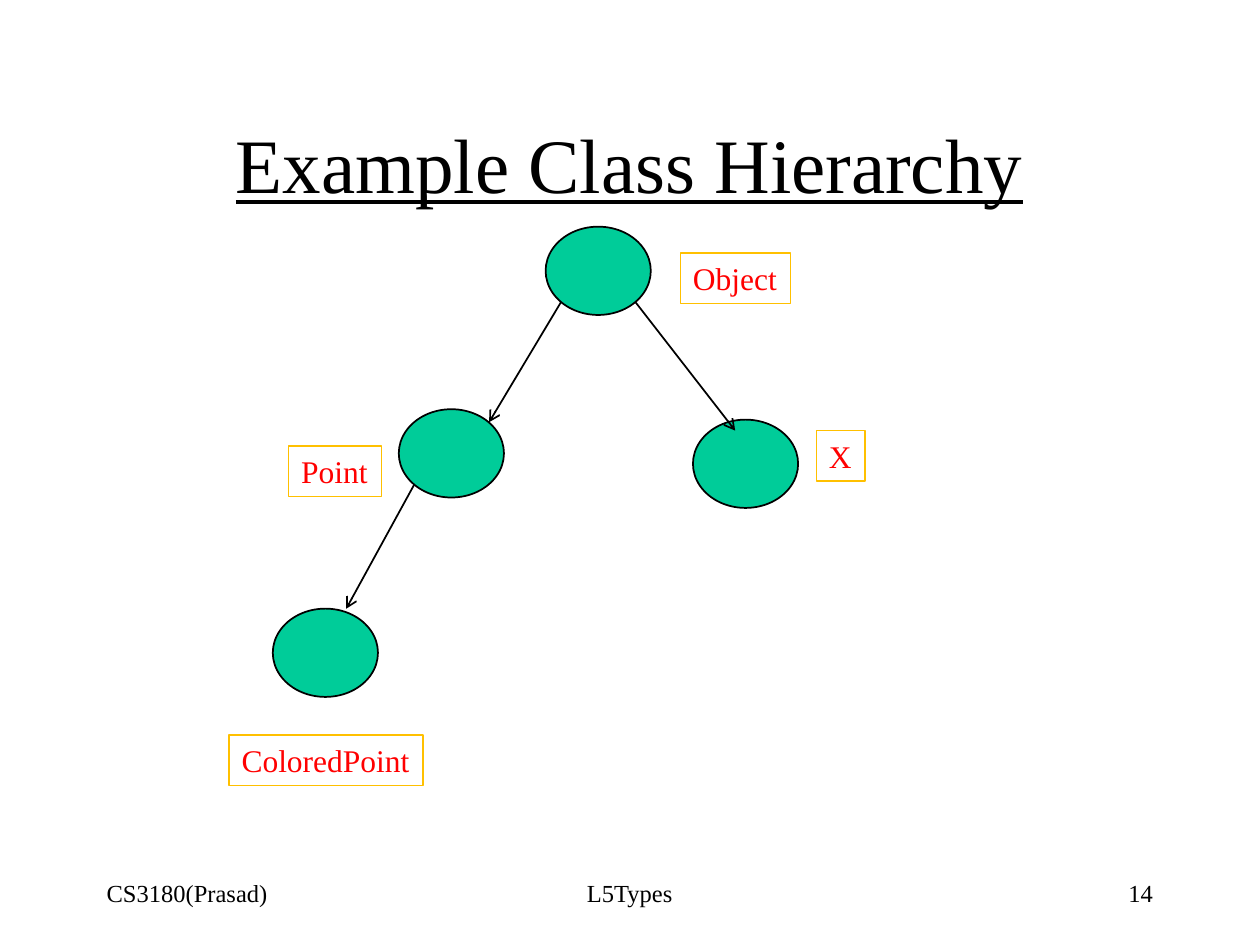
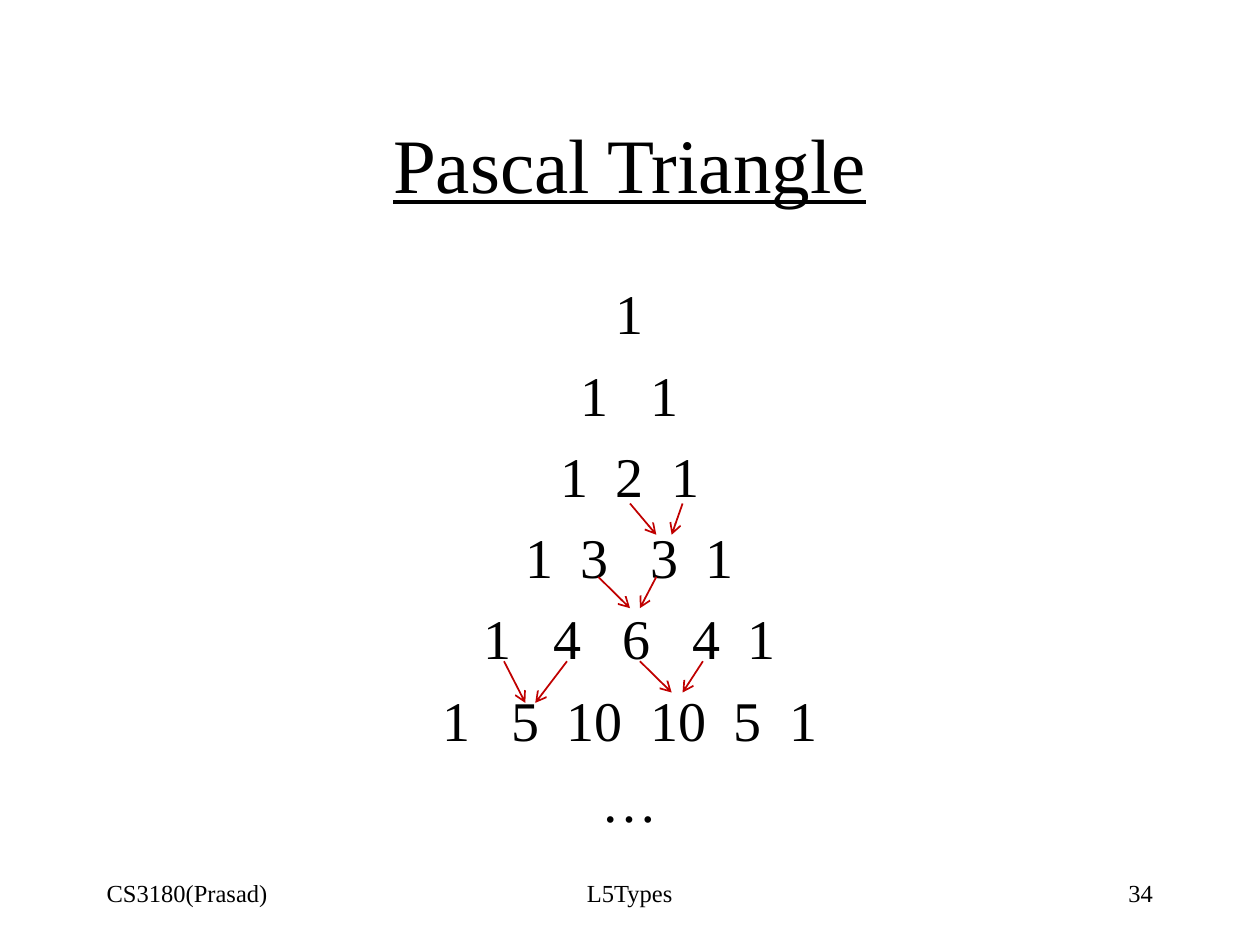
from lxml.etree import SubElement
from pptx import Presentation
from pptx.dml.color import RGBColor
from pptx.enum.shapes import MSO_CONNECTOR, MSO_SHAPE
from pptx.enum.text import MSO_ANCHOR as Anchor, MSO_AUTO_SIZE as AutoSize, PP_ALIGN as Align
from pptx.oxml.ns import qn
from pptx.util import Cm, Pt

FONT = "Times New Roman"
BLACK, GREEN, RED, GOLD, DARK_RED = "000000", "00CC99", "FF0000", "FFC000", "C00000"
TITLE_BOX = (1.9, 1.7, 21.59, 3.18)
FOOTER_BOX = (1.9, 17.36, 21.59, 1.27)
HIERARCHY_BOX = (4.6, 4.57, 13, 11.3)
TRIANGLE_BOX = (1.9, 5.5, 21.59, 11.43)
INSET = 0.25

NODE_SIZE = (2.12, 1.78)
NODES = {"Object": (6.4, 0), "Point": (3.44, 3.68), "X": (9.37, 3.89), "ColoredPoint": (0.9, 7.7)}
LABELS = {
    "Object": (9.12, 0.53, 2.22),
    "Point": (1.22, 4.42, 1.87),
    "X": (11.86, 4.11, 0.98),
    "ColoredPoint": (0.02, 10.25, 3.91),
}
BRANCHES = [("Object", -1, (5.26, 3.94)), ("Object", 1, (10.22, 4.11)), ("Point", -1, (2.38, 7.7))]

HALF_DIGIT = 0.28
TRIANGLE_ROWS = [
    ("1", [0]),
    ("1 1", [-2.5, 2.5]),
    ("1 2 1", [-4, 0, 4]),
    ("1 3 3 1", [-6.5, -2.5, 2.5, 6.5]),
    ("1 4 6 4 1", [-9.5, -4.5, 0.5, 5.5, 9.5]),
    ("1 5 10 10 5 1", [-12.5, -7.5, -2.5, 3.5, 8.5, 12.5]),
    ("…", [0]),
]
SUM_ARROWS = [
    (4.65, 5.28, [(10.8, 11.33), (11.86, 11.64)]),
    (6.13, 6.76, [(10.16, 10.8), (11.33, 11)]),
    (7.83, 8.67, [(8.26, 8.69), (9.53, 8.89)]),
    (7.83, 8.46, [(11, 11.64), (12.27, 11.86)]),
]


def color(hex_string):
    """Turn a hex string into a colour."""
    return RGBColor.from_string(hex_string)


def format_paragraph(paragraph, text, size=14, fill=BLACK, align=Align.LEFT, underline=None):
    """Fill one paragraph and set its format."""
    paragraph.text = text
    paragraph.alignment = align
    font = paragraph.font
    font.name, font.size, font.underline = FONT, Pt(size), underline
    font.color.rgb = color(fill)


def add_text(slide, text, box, anchor=Anchor.MIDDLE, **text_format):
    """Add a text box with one formatted paragraph."""
    shape = slide.shapes.add_textbox(*map(Cm, box))
    frame = shape.text_frame
    frame.word_wrap, frame.vertical_anchor = True, anchor
    format_paragraph(frame.paragraphs[0], text, **text_format)
    return shape


def add_label(slide, text, box):
    """Add an outlined label that fits its single line."""
    label = add_text(slide, text, box, anchor=Anchor.TOP, size=18, fill=RED)
    label.text_frame.word_wrap = False
    label.text_frame.auto_size = AutoSize.SHAPE_TO_FIT_TEXT
    label.line.color.rgb, label.line.width = color(GOLD), Pt(0.75)


def add_arrow(slide, start, end, fill):
    """Draw a straight arrow between two points."""
    connector = slide.shapes.add_connector(MSO_CONNECTOR.STRAIGHT, *map(Cm, (*start, *end)))
    connector.line.color.rgb, connector.line.width = color(fill), Pt(1)
    SubElement(connector.line._get_or_add_ln(), qn("a:tailEnd"), type="arrow")
    SubElement(connector._element.spPr, qn("a:effectLst"))


def add_footer(slide, number, box):
    """Place course, lecture and slide number along the footer."""
    left, top, width, height = box
    side, middle = 5.29, 8.05
    add_text(slide, "CS3180(Prasad)", (left, top, side, height))
    add_text(slide, "L5Types", (left + (width - middle) / 2, top, middle, height), align=Align.CENTER)
    add_text(slide, str(number), (left + width - side, top, side, height), align=Align.RIGHT)


def add_hierarchy(slide, box):
    """Draw the class tree with its labels."""
    left, top = box[:2]
    width, height = NODE_SIZE
    for x, y in NODES.values():
        node = slide.shapes.add_shape(MSO_SHAPE.OVAL, *map(Cm, (left + x, top + y, width, height)))
        node.shadow.inherit = False
        node.fill.solid()
        node.fill.fore_color.rgb = color(GREEN)
        node.line.color.rgb, node.line.width = color(BLACK), Pt(1)
    diagonal = 0.5 ** 1.5
    for parent, side, (end_x, end_y) in BRANCHES:
        x, y = NODES[parent]
        start = (left + x + width * (0.5 + side * diagonal), top + y + height * (0.5 + diagonal))
        add_arrow(slide, start, (left + end_x, top + end_y), BLACK)
    for name, (x, y, label_width) in LABELS.items():
        add_label(slide, name, (left + x, top + y, label_width, 1.02))


def add_center_tabs(paragraph, positions):
    """Give a paragraph centred tab stops."""
    tabs = SubElement(paragraph._p.get_or_add_pPr(), qn("a:tabLst"))
    for position in positions:
        SubElement(tabs, qn("a:tab"), pos=str(Cm(position)), algn="ctr")


def add_triangle(slide, box):
    """Set the rows of numbers and the arrows that add them."""
    left, top, width, height = box
    shape = slide.shapes.add_textbox(*map(Cm, box))
    frame = shape.text_frame
    frame.word_wrap = True
    for index, (numbers, offsets) in enumerate(TRIANGLE_ROWS):
        paragraph = frame.add_paragraph() if index else frame.paragraphs[0]
        if index:
            paragraph.space_before = Pt(8)
        add_center_tabs(paragraph, [width / 2 - INSET + offset * HALF_DIGIT for offset in offsets])
        format_paragraph(paragraph, "".join("\t" + number for number in numbers.split()), size=32)
    for start_y, end_y, pair in SUM_ARROWS:
        for start_x, end_x in pair:
            add_arrow(slide, (left + start_x, top + start_y), (left + end_x, top + end_y), DARK_RED)


def add_slide(presentation, title, number, add_content, box):
    """Add a slide with title, footer and content."""
    slide = presentation.slides.add_slide(presentation.slide_layouts[6])
    add_text(slide, title, TITLE_BOX, size=44, align=Align.CENTER, underline=True)
    add_content(slide, box)
    add_footer(slide, number, FOOTER_BOX)


def main():
    """Build and save the presentation."""
    presentation = Presentation()
    presentation.slide_width, presentation.slide_height = Cm(25.4), Cm(19.05)
    add_slide(presentation, "Example Class Hierarchy", 14, add_hierarchy, HIERARCHY_BOX)
    add_slide(presentation, "Pascal Triangle", 34, add_triangle, TRIANGLE_BOX)
    presentation.save("out.pptx")


if __name__ == "__main__":
    main()
